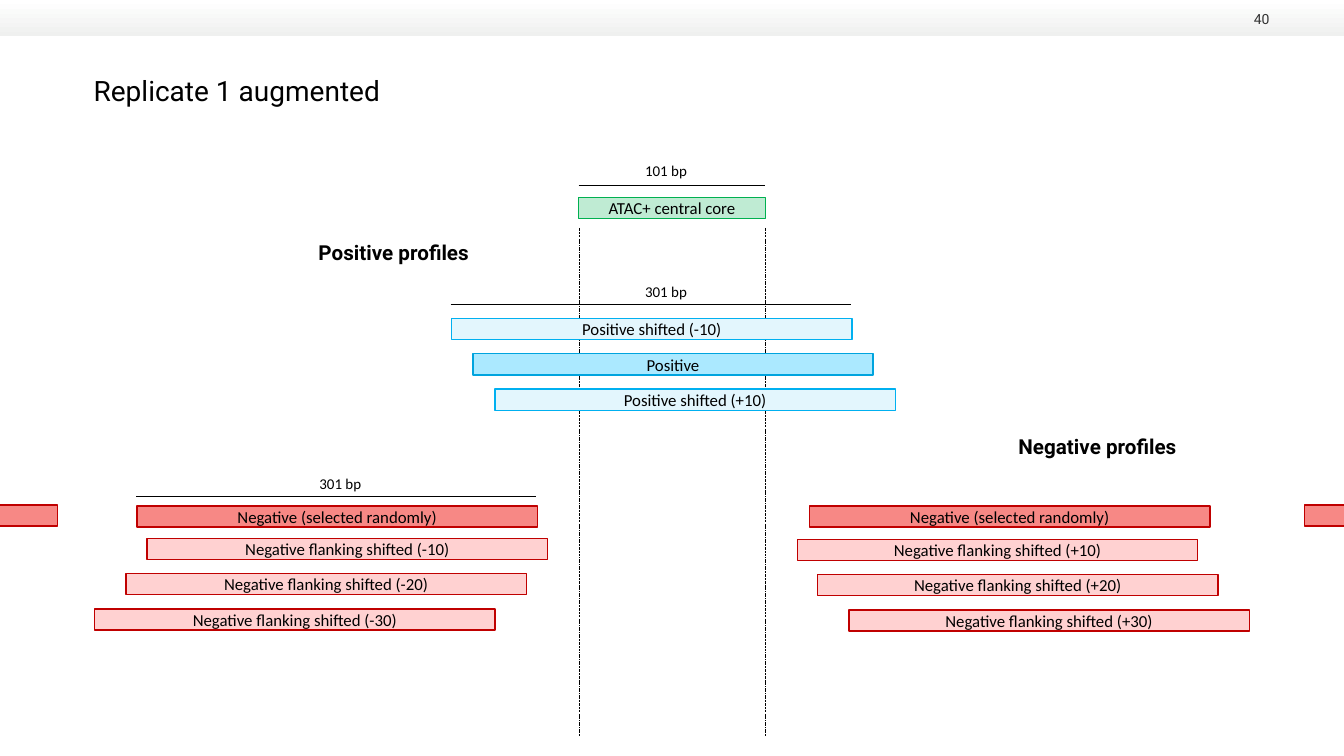
from lxml import etree
from pptx import Presentation
from pptx import util as u
from pptx.dml.color import RGBColor
from pptx.enum import dml, shapes, text
from pptx.oxml.ns import qn

PX = 9144  # EMU per px, 100 px to the inch
BLACK = "000000"
BAR_WIDTH, BAR_HEIGHT = 397, 21
CORE_LEFT, CORE_RIGHT = 574, 759

# Fill and outline of each kind of profile
CORE = ("BFEBD3", "00B050")
POSITIVE = ("ABE9FF", "00A4DE")
POSITIVE_SHIFTED = ("E3F6FD", "00B0F0")
NEGATIVE = ("F78885", "C00000")
NEGATIVE_SHIFTED = ("FFD1D1", "C00000")


def px(*lengths):
    return [u.Emu(length * PX) for length in lengths]


def rgb(value):
    return RGBColor.from_string(value)


def write(frame, words, size, font, color=BLACK, align=text.PP_ALIGN.CENTER, bold=False):
    paragraph = frame.paragraphs[0]
    paragraph.alignment = align
    run = paragraph.add_run()
    run.text = words
    run.font.size = u.Pt(size)
    run.font.name = font
    run.font.bold = bold
    run.font.color.rgb = rgb(color)
    return run


def add_header_band(slide):
    band = slide.shapes.add_shape(shapes.MSO_SHAPE.RECTANGLE, *px(0, 0, 1333, 36))
    band.shadow.inherit = False
    band.line.fill.background()
    band.fill.gradient()
    band.fill.gradient_angle = 270
    for stop, color in zip(band.fill.gradient_stops, ("FFFFFF", "EFF0EF")):
        stop.color.rgb = rgb(color)


def add_title(slide, words):
    title = slide.shapes.title
    title.left, title.top, title.width, title.height = px(-31, 68, 532, 44)
    title.text_frame.vertical_anchor = text.MSO_ANCHOR.TOP
    run = write(title.text_frame, words, 20, "Roboto")
    # Soft shadow behind the letters, placed right after the text fill
    effects = etree.Element(qn("a:effectLst"))
    shadow = etree.SubElement(effects, qn("a:outerShdw"), blurRad="38100",
                              dist="38100", dir="2700000", algn="tl")
    shade = etree.SubElement(shadow, qn("a:srgbClr"), val=BLACK)
    etree.SubElement(shade, qn("a:alpha"), val="43000")
    run.font._element.find(qn("a:solidFill")).addnext(effects)


def add_label(slide, left, top, width, height, words, size, font, **style):
    label = slide.shapes.add_textbox(*px(left, top, width, height))
    label.text_frame.word_wrap = True
    write(label.text_frame, words, size, font, **style)
    return label


def add_heading(slide, left, top, words):
    add_label(slide, left, top, 667, 35, words, 14.7, "Roboto", bold=True)


def add_bar(slide, left, top, words, colors, width=BAR_WIDTH):
    bar = slide.shapes.add_shape(shapes.MSO_SHAPE.FLOWCHART_PROCESS,
                                 *px(left, top, width, BAR_HEIGHT))
    fill, outline = colors
    bar.shadow.inherit = False
    bar.fill.solid()
    bar.fill.fore_color.rgb = rgb(fill)
    bar.line.color.rgb = rgb(outline)
    bar.line.width = u.Pt(1)
    if words:
        frame = bar.text_frame
        frame.margin_top = frame.margin_bottom = 0
        frame.vertical_anchor = text.MSO_ANCHOR.MIDDLE
        write(frame, words, 12, "Calibri")


def add_line(slide, x1, y1, x2, y2, dash=None):
    line = slide.shapes.add_connector(shapes.MSO_CONNECTOR.STRAIGHT, *px(x1, y1, x2, y2))
    line.line.color.rgb = rgb(BLACK)
    line.line.width = u.Pt(0.25)
    if dash:
        line.line.dash_style = dash
    etree.SubElement(line._element.spPr, qn("a:effectLst"))


def add_measure(slide, left, right, y, label_left, label_top, words):
    add_line(slide, left, y, right, y)
    add_label(slide, label_left, label_top, 74, 28, words, 10.7, "Calibri",
              align=text.PP_ALIGN.LEFT)


def add_page_number(slide, number):
    box = add_label(slide, 1227, 9, 42, 19, number, 10, "Roboto",
                    color="333333", align=text.PP_ALIGN.RIGHT)
    frame = box.text_frame
    frame.vertical_anchor = text.MSO_ANCHOR.MIDDLE
    frame.margin_top = frame.margin_bottom = px(10)[0]


def main():
    deck = Presentation()
    deck.slide_width, deck.slide_height = px(1333, 750)
    slide = deck.slides.add_slide(deck.slide_layouts[5])

    add_header_band(slide)
    add_title(slide, "Replicate 1 augmented")
    add_page_number(slide, "40")

    # Central core and its guides
    add_measure(slide, CORE_LEFT, CORE_RIGHT, 184, 630, 155, "101 bp")
    add_bar(slide, CORE_LEFT, 196, "ATAC+ central core", CORE, CORE_RIGHT - CORE_LEFT)
    for x in (CORE_LEFT, CORE_RIGHT):
        add_line(slide, x, 226, x, 730, dml.MSO_LINE.DASH_DOT_DOT)

    # Positive profiles
    add_heading(slide, 57, 233, "Positive profiles")
    add_measure(slide, 447, 844, 302, 630, 275, "301 bp")
    positives = [
        (448, "Positive shifted (-10)", POSITIVE_SHIFTED),
        (469, "Positive", POSITIVE),
        (491, "Positive shifted (+10)", POSITIVE_SHIFTED),
    ]
    for row, (left, words, colors) in enumerate(positives):
        add_bar(slide, left, 316 + 35 * row, words, colors)

    # Negative profiles, with neighbours running past both edges
    add_heading(slide, 755, 426, "Negative profiles")
    add_measure(slide, 135, 532, 492, 307, 466, "301 bp")
    for left in (136, 803):
        add_bar(slide, left, 502, "Negative (selected randomly)", NEGATIVE)
    for left in (-340, 1294):
        add_bar(slide, left, 501, "", NEGATIVE)

    # Flanking shifts on either side
    flanks = [("-", 534, (146, 125, 94)), ("+", 535, (791, 811, 842))]
    for sign, top, lefts in flanks:
        for row, left in enumerate(lefts):
            words = f"Negative flanking shifted ({sign}{10 * (row + 1)})"
            add_bar(slide, left, top + 35 * row, words, NEGATIVE_SHIFTED)

    deck.save("out.pptx")


if __name__ == "__main__":
    main()
